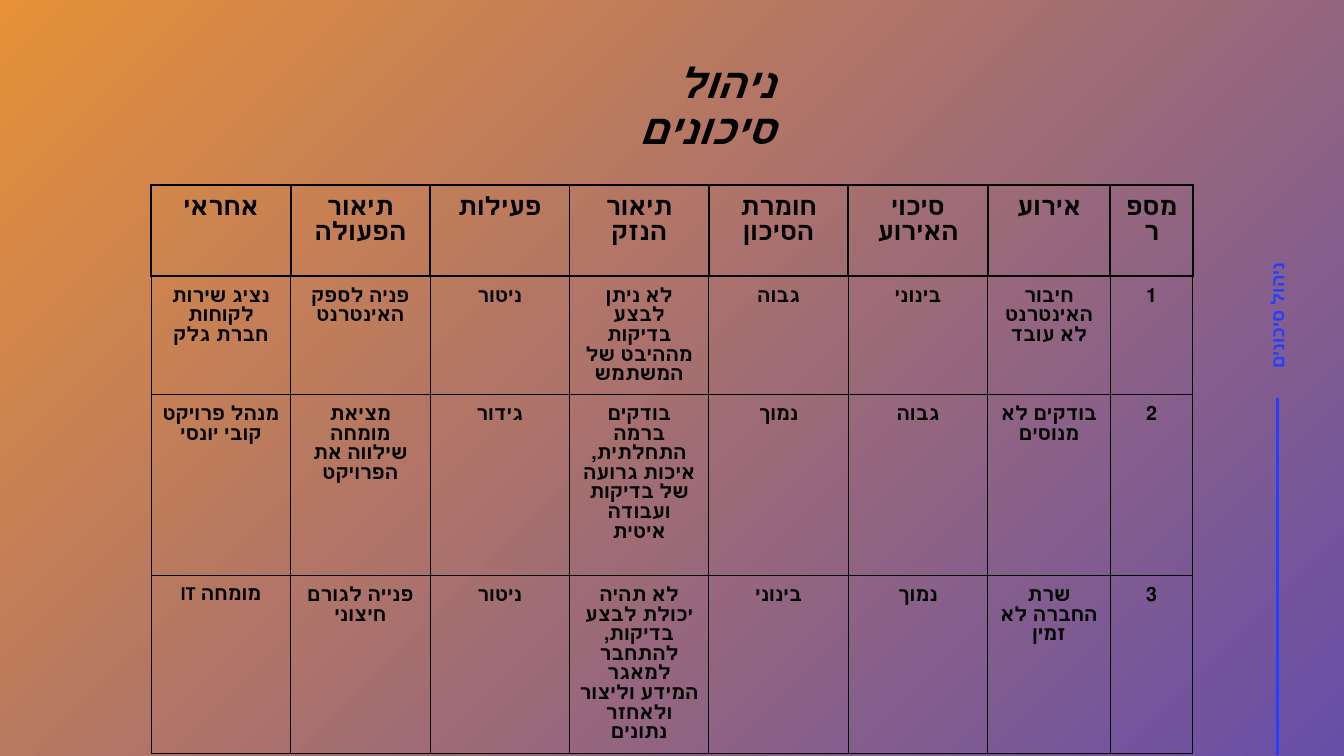
import pptx
import pptx.dml.color
import pptx.enum.shapes
import pptx.enum.text
import pptx.oxml
import pptx.oxml.ns
import pptx.util
from dataclasses import dataclass

Pt = pptx.util.Pt
RGB = pptx.dml.color.RGBColor.from_string
ALIGN = pptx.enum.text.PP_ALIGN
ANCHOR = pptx.enum.text.MSO_ANCHOR
NAMESPACE = pptx.oxml.ns.nsdecls("a")


@dataclass(frozen=True)
class Theme:
    start: str = "E69138"
    end: str = "674EA7"
    ink: str = "000000"
    accent: str = "243FFF"
    title_size: int = 30
    header_size: int = 18
    body_size: int = 14
    side_size: int = 13
    body_font: str = "Calibri"
    side_font: str = "Open Sans"


theme = Theme()


def write(frame, text, color, align, spacing, rtl=True, **font):
    """Fill a text frame with one formatted paragraph."""
    frame.word_wrap = True
    para = frame.paragraphs[0]
    para.alignment = align
    para.line_spacing = spacing
    if rtl:
        para._p.get_or_add_pPr().set("rtl", "1")
    span = para.add_run()
    span.text = text
    span.font.color.rgb = RGB(color)
    for key, value in font.items():
        setattr(span.font, key, value)
    return span


def set_borders(cell, widths):
    """Draw left, right, top and bottom cell borders of the given widths."""
    properties = cell._tc.get_or_add_tcPr()
    for position, (side, width) in enumerate(zip("LRTB", widths)):
        properties.insert(position, pptx.oxml.parse_xml(
            f'<a:ln{side} {NAMESPACE} w="{int(Pt(width))}"><a:solidFill>'
            f'<a:srgbClr val="{theme.ink}"/></a:solidFill></a:ln{side}>'))


deck = pptx.Presentation()
deck.slide_width, deck.slide_height = Pt(960), Pt(540)
page = deck.slides.add_slide(deck.slide_layouts[6])

# Diagonal background, from the top left corner
backdrop = page.background.fill
backdrop.gradient()
backdrop.gradient_angle = 315
for stop, color, place in zip(backdrop.gradient_stops, (theme.start, theme.end), (0, 1)):
    stop.color.rgb = RGB(color)
    stop.position = place

# Vertical rule on the right
rule = page.shapes.add_connector(
    pptx.enum.shapes.MSO_CONNECTOR.STRAIGHT, Pt(912.4), Pt(284), Pt(912.4), Pt(539.5))
rule.line.color.rgb = RGB(theme.accent)
rule.line.width = Pt(2)
rule._element.spPr.append(pptx.oxml.parse_xml(f"<a:effectLst {NAMESPACE}/>"))

# Rotated side label and title
labels = [
    ((854.6, 211, 115.2, 28.8), 270, ANCHOR.MIDDLE, theme.accent, ALIGN.CENTER, 1.0, False,
     dict(name=theme.side_font, size=Pt(theme.side_size), bold=True)),
    ((398.9, 15.1, 162, 97.9), 0, ANCHOR.BOTTOM, theme.ink, ALIGN.RIGHT, 0.9, True,
     dict(name=theme.body_font, size=Pt(theme.title_size), bold=True, italic=True)),
]
for place, rotation, anchor, color, align, spacing, rtl, font in labels:
    box = page.shapes.add_textbox(*map(Pt, place))
    box.rotation = rotation
    box.text_frame.vertical_anchor = anchor
    span = write(box.text_frame, "ניהול סיכונים", color, align, spacing, rtl, **font)
    span._r.get_or_add_rPr().append(pptx.oxml.parse_xml(
        f'<a:cs {NAMESPACE} typeface="{font["name"]}"/>'))

# Risk table, columns from left to right
risks = [
    ["אחראי", "תיאור הפעולה", "פעילות", "תיאור הנזק",
     "חומרת הסיכון", "סיכוי האירוע", "אירוע", "מספר"],
    ["נציג שירות לקוחות חברת גלק", "פניה לספק האינטרנט", "ניטור",
     "לא ניתן לבצע בדיקות מההיבט של המשתמש",
     "גבוה", "בינוני", "חיבור האינטרנט לא עובד", "1"],
    ["מנהל פרויקט קובי יונסי", "מציאת מומחה שילווה את הפרויקט", "גידור",
     "בודקים ברמה התחלתית, איכות גרועה של בדיקות ועבודה איטית",
     "נמוך", "גבוה", "בודקים לא מנוסים", "2"],
    ["מומחה IT", "פנייה לגורם חיצוני", "ניטור",
     "לא תהיה יכולת לבצע בדיקות, להתחבר למאגר המידע וליצור ולאחזר נתונים",
     "בינוני", "נמוך", "שרת החברה לא זמין", "3"],
]
column_widths = [99.6] * 6 + [87.6, 59]
row_heights = [65, 84.5, 129.3, 127.2]
table = page.shapes.add_table(
    len(risks), len(column_widths), Pt(108), Pt(132.4),
    Pt(sum(column_widths)), Pt(sum(row_heights))).table
table.first_row = False
table.horz_banding = False
for column, width in zip(table.columns, column_widths):
    column.width = Pt(width)
for row, height in zip(table.rows, row_heights):
    row.height = Pt(height)

for row_index, texts in enumerate(risks):
    size = theme.body_size if row_index else theme.header_size
    side = 0.75 if row_index else 1.5
    top = 1.5 if row_index < 2 else 0.75
    for column_index, text in enumerate(texts):
        cell = table.cell(row_index, column_index)
        cell.fill.background()
        for margin in ("left", "right", "top", "bottom"):
            setattr(cell, f"margin_{margin}", Pt(7.2))
        set_borders(cell, (side, side, top, side))
        write(cell.text_frame, text, theme.ink, ALIGN.CENTER, Pt(size),
              name=theme.body_font, size=Pt(size), bold=True)

deck.save("out.pptx")
